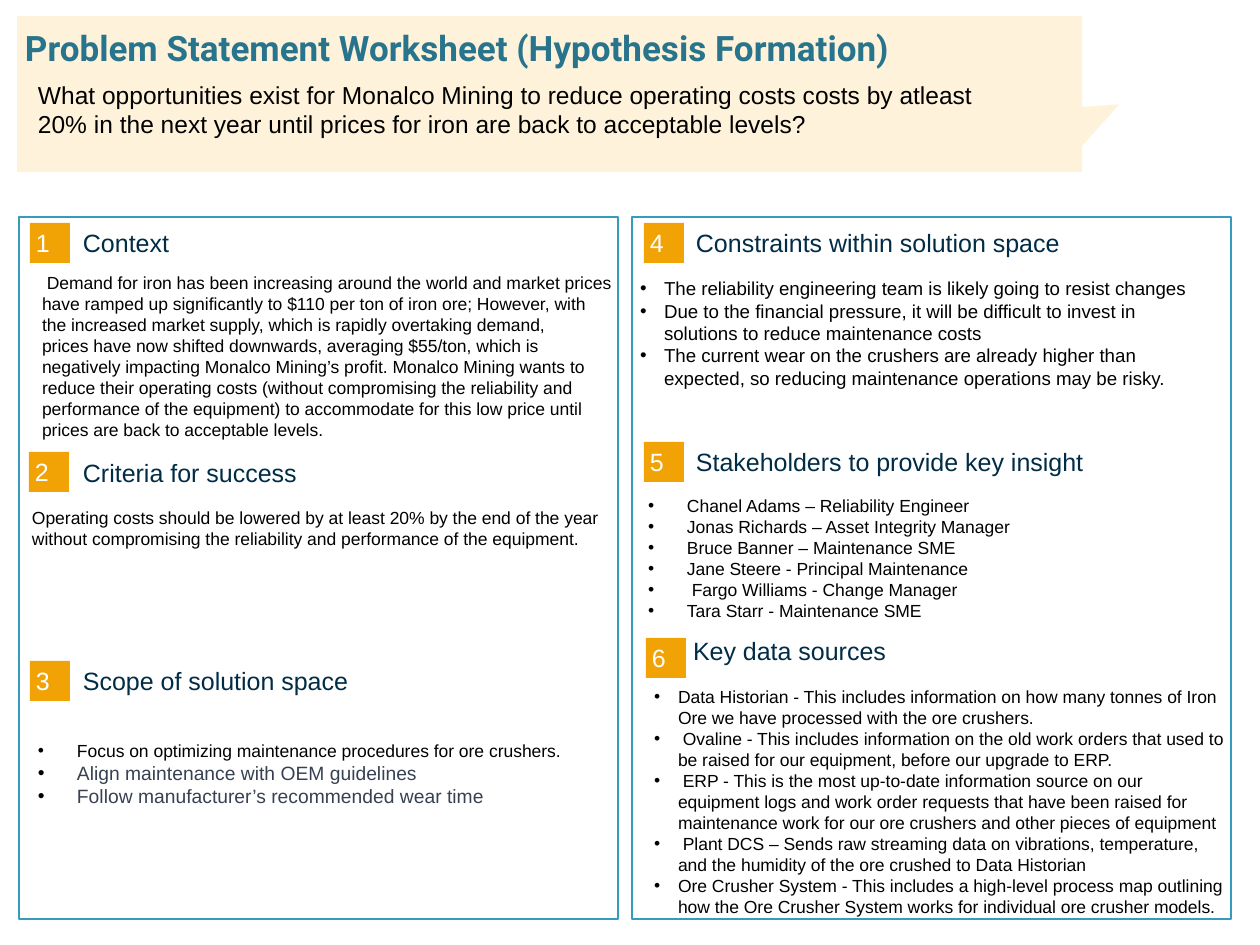
from lxml import etree
from pptx import Presentation
from pptx.dml.color import RGBColor
from pptx.enum.shapes import MSO_SHAPE
from pptx.enum.text import MSO_ANCHOR, PP_ALIGN
from pptx.oxml.ns import qn
from pptx.util import Pt

PX = 914400 / 126
RECT, CALLOUT = MSO_SHAPE.RECTANGLE, MSO_SHAPE.RECTANGULAR_CALLOUT
TOP, MIDDLE, LEFT = MSO_ANCHOR.TOP, MSO_ANCHOR.MIDDLE, PP_ALIGN.LEFT
WHITE = RGBColor(0xFF, 0xFF, 0xFF)
BLACK = RGBColor(0, 0, 0)
BORDER = RGBColor(0x37, 0x9B, 0xBD)
ORANGE = RGBColor(0xF1, 0xA2, 0x05)
NAVY = RGBColor(0x00, 0x2C, 0x46)
SLATE = RGBColor(0x37, 0x41, 0x51)
CREAM = RGBColor(0xFE, 0xF2, 0xDA)
TEAL = RGBColor(0x29, 0x74, 0x8D)
NO_INSET, BADGE_INSET, BODY_INSET = (0, 0), (6, 6), (13, 6)
BADGE = 40
BODY_WIDTH = 596
NARROW, WIDE = 24, 39


def emu(*lengths):
    """Turn pixel lengths into EMU."""
    return [round(n * PX) for n in lengths]


def add_block(s, kind, box, fill, line=None):
    """Add a filled preset shape."""
    sp = s.shapes.add_shape(kind, *emu(*box))
    sp.shadow.inherit = False
    sp.fill.solid()
    sp.fill.fore_color.rgb = fill
    if line:
        sp.line.color.rgb = line
        sp.line.width = Pt(1.5)
    else:
        sp.line.fill.background()
    return sp


def set_bullet(p, hang):
    """Give a paragraph a black bullet and a hanging indent."""
    pPr = p._p.get_or_add_pPr()
    indent = emu(hang)[0]
    pPr.set("marL", str(indent))
    pPr.set("indent", str(-indent))
    color = etree.SubElement(pPr, qn("a:buClr"))
    etree.SubElement(color, qn("a:srgbClr"), val=str(BLACK))
    etree.SubElement(pPr, qn("a:buFont"), typeface="Arial")
    etree.SubElement(pPr, qn("a:buChar"), char="•")


def write(sp, lines, inset, anchor=TOP, font="Arial", bold=False, hang=0):
    """Write (text, size, colour) lines into a shape."""
    tf = sp.text_frame
    tf.word_wrap = True
    tf.vertical_anchor = anchor
    x, y = emu(*inset)
    tf.margin_left = tf.margin_right = x
    tf.margin_top = tf.margin_bottom = y
    for i, (text, size, color) in enumerate(lines):
        p = tf.add_paragraph() if i else tf.paragraphs[0]
        p.alignment = LEFT
        if hang:
            set_bullet(p, hang)
        r = p.add_run()
        r.text = text
        r.font.name = font
        r.font.size = Pt(size)
        r.font.bold = bold
        r.font.color.rgb = color


def add_text(s, box, lines, inset, **style):
    """Add a text box with its lines."""
    write(s.shapes.add_textbox(*emu(*box)), lines, inset, **style)


def add_header(s, box):
    """Add the callout with the title and the key question."""
    x, y, w, h = box
    sp = add_block(s, CALLOUT, box, CREAM)
    sp.adjustments[0], sp.adjustments[1] = 0.535, 0.066
    add_text(s, (x + 8, y + 10, 1212, 43),
             [("Problem Statement Worksheet (Hypothesis Formation)", 20, TEAL)],
             NO_INSET, anchor=MIDDLE, font="Roboto", bold=True)
    add_text(s, (x + 8, y + 58, 1003, 68),
             [("What opportunities exist for Monalco Mining to reduce operating costs costs by "
               "atleast 20% in the next year until prices for iron are back to acceptable levels?",
               14, BLACK)], BODY_INSET)


def add_panel(s, box, sections):
    """Add a framed panel with its numbered sections."""
    x, y, w, h = box
    add_block(s, RECT, box, WHITE, BORDER)
    for number, heading, badge_at, heading_at, body_at, hang, lines in sections:
        badge = add_block(s, RECT, (x + badge_at[0], y + badge_at[1], BADGE, BADGE), ORANGE)
        write(badge, [(number, 14.3, WHITE)], BADGE_INSET, anchor=MIDDLE)
        add_text(s, (x + heading_at[0], y + heading_at[1], 495, 31),
                 [(heading, 14.3, NAVY)], NO_INSET, anchor=MIDDLE)
        dx, dy, height = body_at
        add_text(s, (x + dx, y + dy, BODY_WIDTH, height), lines, BODY_INSET, hang=hang)


def plain(size, *texts):
    """Return black lines of one size."""
    return [(text, size, BLACK) for text in texts]


LEFT_SECTIONS = [
    ("1", "Context", (11, 6), (64, 10), (10, 49, 171), 0, plain(
        10,
        " Demand for iron has been increasing around the world and market prices have ramped up "
        "significantly to $110 per ton of iron ore; However, with the increased market supply, "
        "which is rapidly overtaking demand,",
        "prices have now shifted downwards, averaging $55/ton, which is negatively impacting "
        "Monalco Mining’s profit. Monalco Mining wants to reduce their operating costs (without "
        "compromising the reliability and performance of the equipment) to accommodate for this "
        "low price until prices are back to acceptable levels.")),
    ("2", "Criteria for success", (10, 235), (64, 240), (0, 284, 150), 0, plain(
        10,
        "Operating costs should be lowered by at least 20% by the end of the year without "
        "compromising the reliability and performance of the equipment.")),
    ("3", "Scope of solution space", (11, 444), (64, 448), (6, 517, 83), WIDE, [
        ("Focus on optimizing maintenance procedures for ore crushers.", 10, BLACK),
        ("Align maintenance with OEM guidelines", 11, SLATE),
        ("Follow manufacturer’s recommended wear time", 11, SLATE)]),
]
RIGHT_SECTIONS = [
    ("4", "Constraints within solution space", (12, 6), (64, 10), (-5, 54, 149), NARROW, plain(
        10.7,
        "The reliability engineering team is likely going to resist changes",
        "Due to the financial pressure, it will be difficult to invest in solutions to reduce "
        "maintenance costs",
        "The current wear on the crushers are already higher than expected, so reducing "
        "maintenance operations may be risky.")),
    ("5", "Stakeholders to provide key insight", (12, 225), (64, 229), (3, 272, 149), WIDE, plain(
        10,
        "Chanel Adams – Reliability Engineer",
        "Jonas Richards – Asset Integrity Manager",
        "Bruce Banner – Maintenance SME",
        "Jane Steere - Principal Maintenance",
        " Fargo Williams - Change Manager",
        "Tara Starr - Maintenance SME")),
    ("6", "Key data sources", (14, 421), (61, 418), (9, 463, 240), NARROW, plain(
        10,
        "Data Historian - This includes information on how many tonnes of Iron Ore we have "
        "processed with the ore crushers.",
        " Ovaline - This includes information on the old work orders that used to be raised for "
        "our equipment, before our upgrade to ERP.",
        " ERP - This is the most up-to-date information source on our equipment logs and work "
        "order requests that have been raised for maintenance work for our ore crushers and "
        "other pieces of equipment",
        " Plant DCS – Sends raw streaming data on vibrations, temperature, and the humidity of "
        "the ore crushed to Data Historian",
        "Ore Crusher System - This includes a high-level process map outlining how the Ore "
        "Crusher System works for individual ore crusher models.")),
]

prs = Presentation()
prs.slide_width, prs.slide_height = emu(1260, 945)
s = prs.slides.add_slide(prs.slide_layouts[6])
add_panel(s, (19, 217, 599, 702), LEFT_SECTIONS)
add_panel(s, (632, 217, 599, 702), RIGHT_SECTIONS)
add_header(s, (17, 16, 1065, 156))
prs.save("out.pptx")
